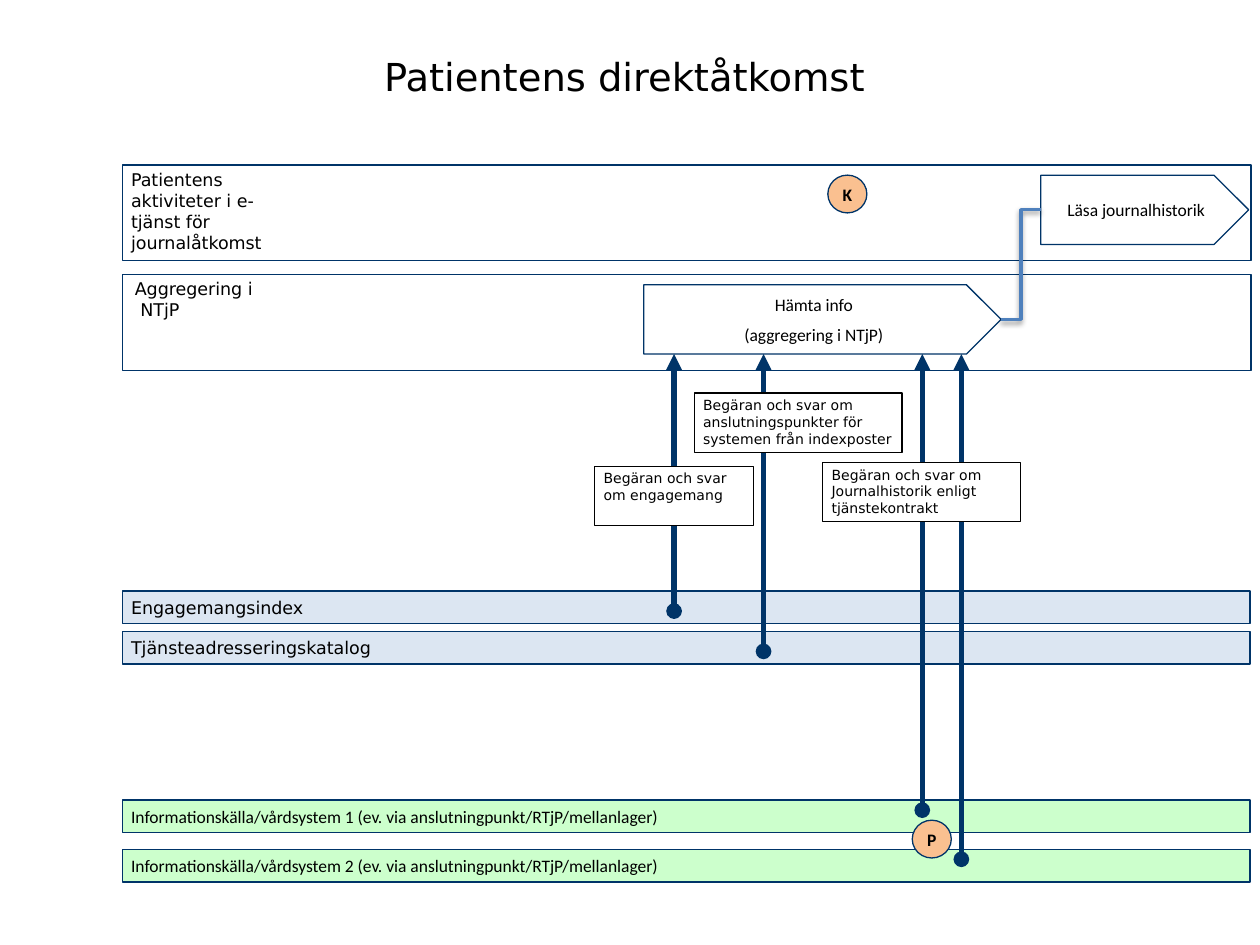
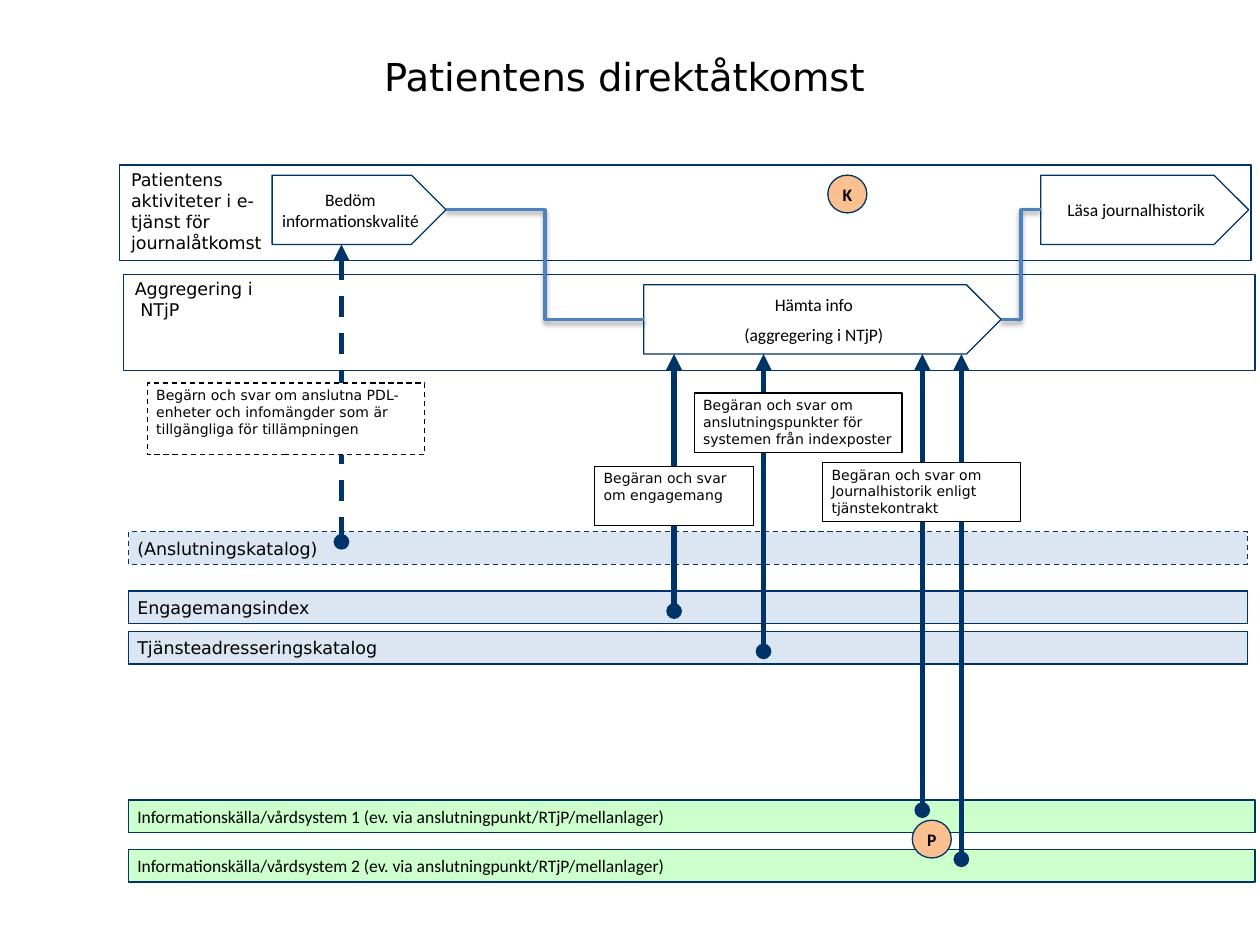
"""Builds two swimlane slides on patients' direct access to their records."""
from lxml import etree
from pptx import Presentation
from pptx.dml.color import RGBColor
from pptx.enum.dml import MSO_LINE_DASH_STYLE as Dash
from pptx.enum.shapes import MSO_CONNECTOR as Link, MSO_SHAPE as Shape
from pptx.enum.text import MSO_ANCHOR as Anchor, PP_ALIGN as Align
from pptx.oxml import parse_xml
from pptx.oxml.ns import nsdecls, qn
from pptx.util import Inches, Pt

NAVY = RGBColor(0x00, 0x34, 0x68)
BLUE = RGBColor(0x4F, 0x81, 0xBD)
PALE_BLUE = RGBColor(0xDC, 0xE6, 0xF2)
PALE_GREEN = RGBColor(0xCC, 0xFF, 0xCC)
PEACH = RGBColor(0xFA, 0xC0, 0x90)
WHITE = RGBColor(0xFF, 0xFF, 0xFF)
BLACK = RGBColor(0x00, 0x00, 0x00)
SANS, CALIBRI = "DejaVu Sans", "Calibri"

COLUMNS, ROWS = 100, 75
CELL = Inches(10) // COLUMNS
LANE_TOP, LANE_PITCH, LANE_HEIGHT = 13.1, 8.7, 7.6
STEP_INSET, STEP_HEIGHT = 0.8, 5.5
BAR_HEIGHT = 2.6

TITLE = "Patientens direktåtkomst"
LANE_NAMES = [
    ("Patientens aktiviteter i e-tjänst för journalåtkomst", 9.7, 12.2),
    ("Aggregering i \u00a0NTjP", 10, 11),
]
SOURCE = "Informationskälla/vårdsystem {} (ev. via anslutningpunkt/RTjP/mellanlager)"
BARS = {
    "catalogue": ("(Anslutningskatalog)", 42.2, PALE_BLUE, SANS),
    "index": ("Engagemangsindex", 46.9, PALE_BLUE, SANS),
    "address": ("Tjänsteadresseringskatalog", 50.1, PALE_BLUE, SANS),
    "source 1": (SOURCE.format(1), 63.5, PALE_GREEN, CALIBRI),
    "source 2": (SOURCE.format(2), 67.4, PALE_GREEN, CALIBRI),
}
STEPS = {
    "assess": ("Bedöm informationskvalité", 0, 21.6, 13.8),
    "fetch": ("Hämta info\n(aggregering i NTjP)", 1, 51.1, 28.35),
    "read": ("Läsa journalhistorik", 0, 82.6, 16.5),
}
REQUESTS = [
    ("assess", "catalogue", 27.1, 0.8),
    ("fetch", "index", 53.5, 1.6),
    ("fetch", "address", 60.6, 1.6),
    ("fetch", "source 1", 73.2, 0.8),
    ("fetch", "source 2", 76.3, 0.8),
]
NOTES = [
    ("Begärn och svar om anslutna PDL-enheter och infomängder som är "
     "tillgängliga för tillämpningen", "catalogue", (11.7, 30.4, 22, 5.7)),
    ("Begäran och svar om engagemang", "index", (47.2, 37, 12.6, 4.7)),
    ("Begäran och svar om anslutningspunkter för systemen från indexposter",
     "address", (55.1, 31.2, 16.5, 4.7)),
    ("Begäran och svar om Journalhistorik enligt tjänstekontrakt",
     "source 1", (65.3, 36.7, 15.7, 4.7)),
]
BADGES = [("P", 72.4, 65.1), ("K", 65.7, LANE_TOP + STEP_INSET)]
OPTIONAL = {"assess", "catalogue"}

SLIDES = [
    {"hidden": OPTIONAL, "lanes": [(9.7, 89.6), (9.7, 89.6)],
     "bar left": 9.7, "bar rights": {PALE_BLUE: 99.2, PALE_GREEN: 99.2},
     "flow": ["fetch", "read"]},
    {"hidden": set(), "lanes": [(9.5, 89.8), (9.8, 89.8)],
     "bar left": 10.2, "bar rights": {PALE_BLUE: 99, PALE_GREEN: 99.6},
     "flow": ["assess", "fetch", "read"]},
]


def grid(*cells):
    return [round(cell * CELL) for cell in cells]


def write(shape, text, size=10, font=SANS, align=Align.LEFT, anchor=Anchor.MIDDLE,
          bold=False, margins=(0.07, 0.03)):
    frame = shape.text_frame
    frame.text = text
    frame.word_wrap = True
    frame.vertical_anchor = anchor
    frame.margin_left = frame.margin_right = Inches(margins[0])
    frame.margin_top = frame.margin_bottom = Inches(margins[1])
    for number, paragraph in enumerate(frame.paragraphs):
        paragraph.alignment = align
        if number:
            paragraph.space_before = Pt(size / 2)
        for run in paragraph.runs:
            run.font.size, run.font.name, run.font.bold = Pt(size), font, bold
            run.font.color.rgb = BLACK


def add_box(slide, kind, cells, fill=None, outline=NAVY, dashed=False):
    box = slide.shapes.add_shape(kind, *grid(*cells))
    box.shadow.inherit = False
    if fill is None:
        box.fill.background()
    else:
        box.fill.solid()
        box.fill.fore_color.rgb = fill
    box.line.color.rgb = outline
    box.line.width = Pt(0.75)
    if dashed:
        box.line.dash_style = Dash.DASH
    return box


def add_link(slide, kind, start, end, colour, width):
    link = slide.shapes.add_connector(kind, *grid(*start, *end))
    link.line.color.rgb = colour
    link.line.width = Pt(width)
    effects = etree.SubElement(link._element.spPr, qn("a:effectLst"))
    return link, effects


def add_request(slide, start, end, dashed):
    link, _ = add_link(slide, Link.STRAIGHT, start, end, NAVY, 3)
    if dashed:
        link.line.dash_style = Dash.DASH
    outline = link.line._get_or_add_ln()
    for tag, ending in (("a:headEnd", "triangle"), ("a:tailEnd", "oval")):
        etree.SubElement(outline, qn(tag), type=ending)


def add_flow(slide, start, end):
    _, effects = add_link(slide, Link.ELBOW, start, end, BLUE, 2)
    effects.append(parse_xml(
        f'<a:outerShdw {nsdecls("a")} blurRad="{Pt(3.1)}" dist="{Pt(1.6)}" '
        'dir="5400000" rotWithShape="0"><a:srgbClr val="000000">'
        '<a:alpha val="38000"/></a:srgbClr></a:outerShdw>'))


def step_top(name):
    return LANE_TOP + STEPS[name][1] * LANE_PITCH + STEP_INSET


def add_lanes(slide, lanes):
    for number, ((left, width), (name, text_left, text_width)) in enumerate(
            zip(lanes, LANE_NAMES)):
        top = LANE_TOP + number * LANE_PITCH
        add_box(slide, Shape.RECTANGLE, (left, top, width, LANE_HEIGHT))
        label = slide.shapes.add_textbox(*grid(text_left, top, text_width, LANE_HEIGHT))
        write(label, name, anchor=Anchor.TOP)


def add_diagram(slide, plan):
    shown = lambda name: name not in plan["hidden"]
    heading = slide.shapes.add_textbox(*grid(29.5, 2.9, 66.5, 6.3))
    write(heading, TITLE, size=22, margins=(0.1, 0.05))
    add_lanes(slide, plan["lanes"])

    for name, (text, top, fill, font) in BARS.items():
        if shown(name):
            left = plan["bar left"]
            cells = (left, top, plan["bar rights"][fill] - left, BAR_HEIGHT)
            bar = add_box(slide, Shape.RECTANGLE, cells, fill, dashed=name in OPTIONAL)
            write(bar, text, font=font)

    for name, (text, _, left, width) in STEPS.items():
        if shown(name):
            cells = (left, step_top(name), width, STEP_HEIGHT)
            step = add_box(slide, Shape.PENTAGON, cells, WHITE)
            write(step, text, font=CALIBRI, align=Align.CENTER)

    for before, after in zip(plan["flow"], plan["flow"][1:]):
        _, _, left, width = STEPS[before]
        middle = STEP_HEIGHT / 2
        add_flow(slide, (left + width, step_top(before) + middle),
                 (STEPS[after][2], step_top(after) + middle))

    for step, bar, column, depth in REQUESTS:
        if shown(bar):
            add_request(slide, (column, step_top(step) + STEP_HEIGHT),
                        (column, BARS[bar][1] + depth), bar in OPTIONAL)

    for text, bar, cells in NOTES:
        if shown(bar):
            note = add_box(slide, Shape.RECTANGLE, cells, WHITE, BLACK, bar in OPTIONAL)
            write(note, text, size=8, anchor=Anchor.TOP)

    for letter, left, top in BADGES:
        badge = add_box(slide, Shape.OVAL, (left, top, 3.1, 3), PEACH)
        write(badge, letter, font=CALIBRI, align=Align.CENTER, bold=True,
              margins=(0, 0.03))


deck = Presentation()
deck.slide_width, deck.slide_height = grid(COLUMNS, ROWS)
for plan in SLIDES:
    add_diagram(deck.slides.add_slide(deck.slide_layouts[6]), plan)
deck.save("out.pptx")
